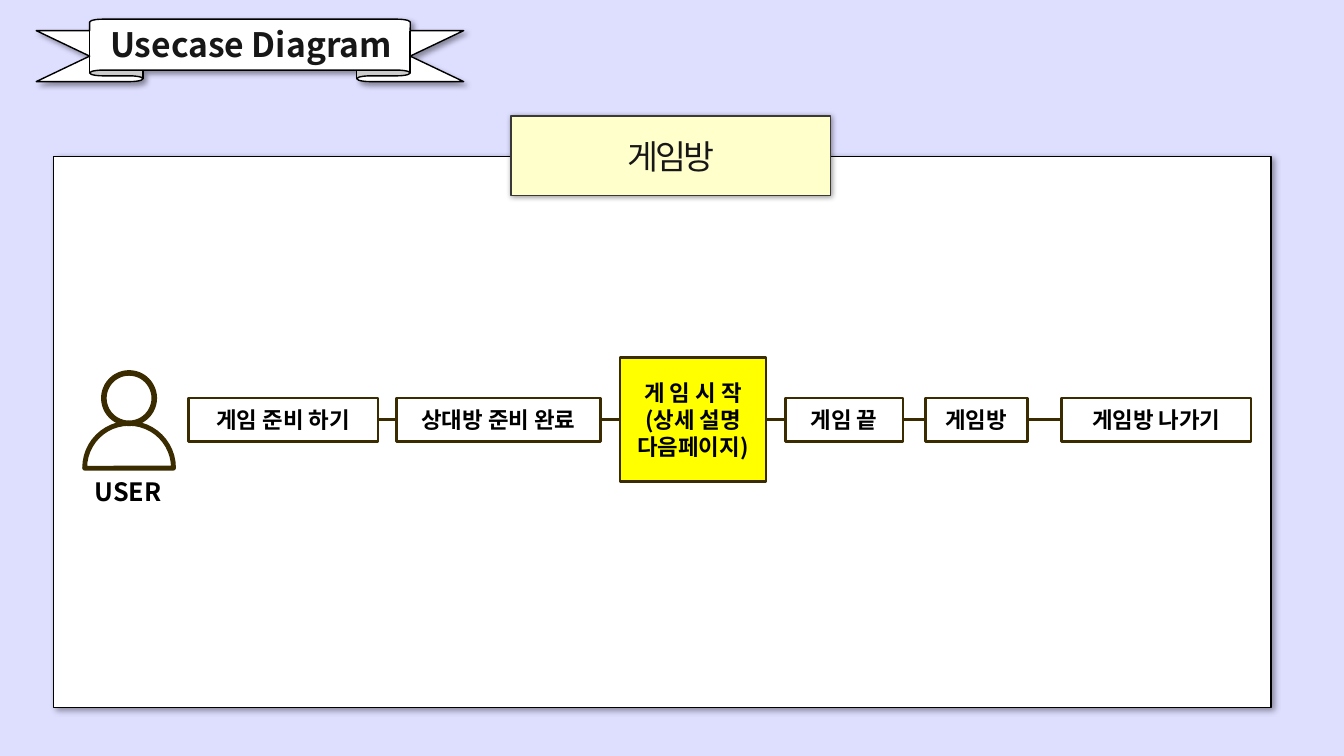
from lxml import etree
from pptx import Presentation
from pptx import util as u
from pptx.dml.color import RGBColor
from pptx.enum import shapes, text
from pptx.oxml import ns

TITLE = "Usecase Diagram"
ROOM = "게임방"
ACTOR = "USER"
# lines of text, left, width, height
STEPS = [
    (["게임 준비 하기"], 134.6, 135.4, 31),
    (["상대방 준비 완료"], 283, 146.2, 31),
    (["게 임 시 작", "(상세 설명 다음페이지)"], 442.8, 104.4, 88.6),
    (["게임 끝"], 560.9, 84.2, 31),
    (["게임방"], 661, 72.7, 31),
    (["게임방 나가기"], 758.2, 135.4, 31),
]
STEP_MIDDLE = 299.8
DETAILED_STEP = 2

FONT = "Noto Sans CJK KR"
LAVENDER = RGBColor(0xDE, 0xDE, 0xFF)
WHITE = RGBColor(0xFF, 0xFF, 0xFF)
CREAM = RGBColor(0xFF, 0xFF, 0xCC)
YELLOW = RGBColor(0xFF, 0xFF, 0x00)
BLACK = RGBColor(0x00, 0x00, 0x00)
INK = RGBColor(0x18, 0x17, 0x17)
GRAY = RGBColor(0x3B, 0x38, 0x38)
BROWN = RGBColor(0x3A, 0x2C, 0x00)


def add_box(slide, kind, box, fill, line, weight):
    shape = slide.shapes.add_shape(kind, *map(u.Pt, box))
    shape.shadow.inherit = False
    if fill is None:
        shape.fill.background()
    else:
        shape.fill.solid()
        shape.fill.fore_color.rgb = fill
    shape.line.color.rgb = line
    shape.line.width = u.Pt(weight)
    return shape


def add_shadow(shape, distance):
    """Give the shape a soft black shadow to the lower right."""
    effects = shape.element.spPr.find(ns.qn("a:effectLst"))
    shadow = etree.SubElement(
        effects, ns.qn("a:outerShdw"), blurRad=str(u.Pt(4)), dist=str(u.Pt(distance)),
        dir="2700000", algn="tl", rotWithShape="0")
    color = etree.SubElement(shadow, ns.qn("a:srgbClr"), val="000000")
    etree.SubElement(color, ns.qn("a:alpha"), val="40000")


def write(shape, lines, size, color, bold=True, spacing=None):
    frame = shape.text_frame
    frame.word_wrap = True
    frame.auto_size = text.MSO_AUTO_SIZE.NONE
    frame.vertical_anchor = text.MSO_ANCHOR.MIDDLE
    frame.margin_left = frame.margin_right = u.Pt(9.36)
    frame.margin_top = frame.margin_bottom = u.Pt(5.04)
    for index, line in enumerate(lines):
        paragraph = frame.add_paragraph() if index else frame.paragraphs[0]
        paragraph.alignment = text.PP_ALIGN.CENTER
        run = paragraph.add_run()
        run.text = line
        run.font.size = u.Pt(size)
        run.font.bold = bold
        run.font.color.rgb = color
        run.font.name = FONT
        properties = run.font._element if hasattr(run.font, "_element") else run._r.get_or_add_rPr()
        etree.SubElement(properties, ns.qn("a:ea"), typeface=FONT)
        if spacing is not None:
            properties.set("spc", str(int(spacing * 100)))


def add_link(slide, start, end):
    link = slide.shapes.add_connector(
        shapes.MSO_CONNECTOR.STRAIGHT,
        u.Pt(start), u.Pt(STEP_MIDDLE), u.Pt(end), u.Pt(STEP_MIDDLE))
    link.line.color.rgb = BROWN
    link.line.width = u.Pt(2)
    etree.SubElement(link.element.spPr, ns.qn("a:effectLst"))


def add_header(slide):
    rectangle = shapes.MSO_SHAPE.RECTANGLE
    panel = add_box(slide, rectangle, (38.2, 111.6, 869.8, 393.8), WHITE, BLACK, 1)
    add_shadow(panel, 3)

    ribbon = add_box(slide, shapes.MSO_SHAPE.UP_RIBBON, (25.9, 13.7, 305.3, 44.6), WHITE, BLACK, 1)
    ribbon.adjustments[0] = 0.184
    ribbon.adjustments[1] = 0.75
    add_shadow(ribbon, 3)

    title = slide.shapes.title
    title.left, title.top, title.width, title.height = map(u.Pt, (68.4, 12.2, 221.8, 38.9))
    write(title, [TITLE], 24, INK)
    ribbon.element.addnext(title.element)

    room = add_box(slide, rectangle, (365, 82.8, 228.2, 56.9), CREAM, GRAY, 1)
    add_shadow(room, 1)
    write(room, [ROOM], 24, INK, bold=False, spacing=-2)


def add_actor(slide):
    body = add_box(slide, shapes.MSO_SHAPE.CHORD, (60.5, 302.4, 63.4, 63.4), None, BROWN, 3.5)
    body.adjustments[0] = 107.64
    body.adjustments[1] = 0.332
    add_box(slide, shapes.MSO_SHAPE.OVAL, (74.2, 266.4, 36, 36), None, BROWN, 4)
    label = slide.shapes.add_textbox(*map(u.Pt, (57.6, 335.5, 67.7, 31)))
    write(label, [ACTOR], 18, BLACK)


def add_steps(slide):
    for index, (lines, left, width, height) in enumerate(STEPS):
        box = (left, STEP_MIDDLE - height / 2, width, height)
        fill = YELLOW if index == DETAILED_STEP else None
        step = add_box(slide, shapes.MSO_SHAPE.RECTANGLE, box, fill, BROWN, 2)
        write(step, lines, 16, BLACK)
    for (_, left, width, _), (_, next_left, _, _) in zip(STEPS, STEPS[1:]):
        add_link(slide, left + width, next_left)


def main():
    presentation = Presentation()
    presentation.slide_width, presentation.slide_height = u.Pt(960), u.Pt(540)
    slide = presentation.slides.add_slide(presentation.slide_layouts.get_by_name("Title Only"))
    slide.background.fill.solid()
    slide.background.fill.fore_color.rgb = LAVENDER
    add_header(slide)
    add_actor(slide)
    add_steps(slide)
    presentation.save("out.pptx")


if __name__ == "__main__":
    main()
